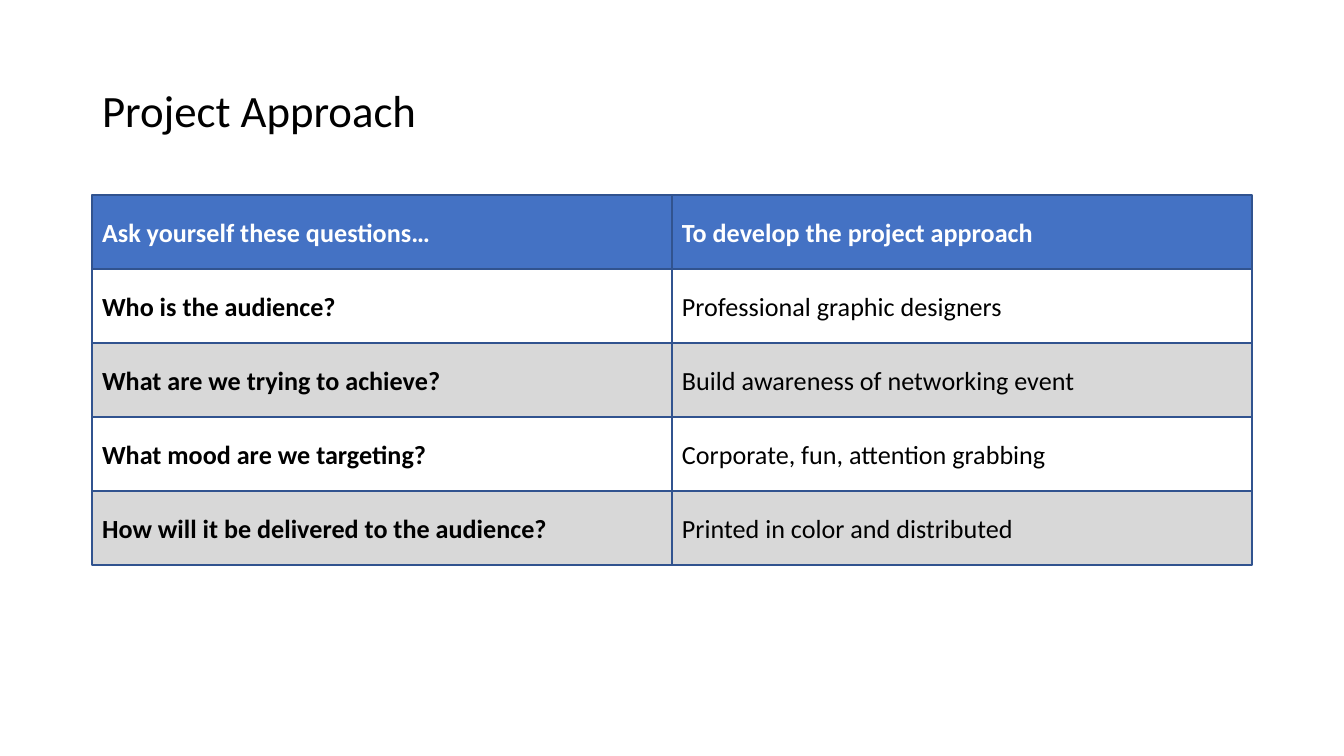
from pptx import Presentation, util as u
from pptx.dml.color import RGBColor
from pptx.enum import shapes, text

SCALE = 914400 / 134.4
LEFT, TOP = 92, 195
WIDE, HIGH = 580, 74
BLUE, EDGE, GREY = "4472C4", "31538F", "D8D8D8"
WHITE, BLACK = "FFFFFF", "000000"

ROWS = [
    ("Ask yourself these questions…", "To develop the project approach"),
    ("Who is the audience?", "Professional graphic designers"),
    ("What are we trying to achieve?", "Build awareness of networking event"),
    ("What mood are we targeting?", "Corporate, fun, attention grabbing"),
    ("How will it be delivered to the audience?", "Printed in color and distributed"),
]


def px(*sizes):
    return [u.Emu(round(size * SCALE)) for size in sizes]


def color(code):
    return RGBColor.from_string(code)


def write(shape, words, size, ink, bold=False):
    frame = shape.text_frame
    frame.word_wrap = True
    frame.vertical_anchor = text.MSO_ANCHOR.MIDDLE
    frame.margin_left, frame.margin_right = px(10, 10)
    frame.margin_top, frame.margin_bottom = px(5, 5)
    frame.text = words
    line = frame.paragraphs[0]
    line.alignment = text.PP_ALIGN.LEFT
    line.font.name = "Calibri"
    line.font.size = u.Pt(size)
    line.font.bold = bold
    line.font.color.rgb = color(ink)
    return line


def title(slide, words):
    box = slide.shapes.add_textbox(*px(LEFT, 40, 2 * WIDE, 146))
    write(box, words, 24, BLACK).line_spacing = 0.9


def cell(group, left, top, words, fill, ink, bold):
    box = group.shapes.add_shape(
        shapes.MSO_SHAPE.RECTANGLE, *px(left, top, WIDE, HIGH))
    box.shadow.inherit = False
    box.fill.solid()
    box.fill.fore_color.rgb = color(fill)
    box.line.color.rgb = color(EDGE)
    box.line.width = u.Pt(1)
    write(box, words, 14, ink, bold)


def grid(slide):
    for row, pair in enumerate(ROWS):
        head = row == 0
        fill = BLUE if head else WHITE if row % 2 else GREY
        ink = WHITE if head else BLACK
        group = slide.shapes.add_group_shape()
        for col, words in enumerate(pair):
            cell(group, LEFT + col * WIDE, TOP + row * HIGH,
                 words, fill, ink, head or col == 0)


def main():
    deck = Presentation()
    deck.slide_width, deck.slide_height = px(1344, 756)
    slide = deck.slides.add_slide(deck.slide_layouts[6])
    title(slide, "Project Approach")
    grid(slide)
    deck.save("out.pptx")


if __name__ == "__main__":
    main()
